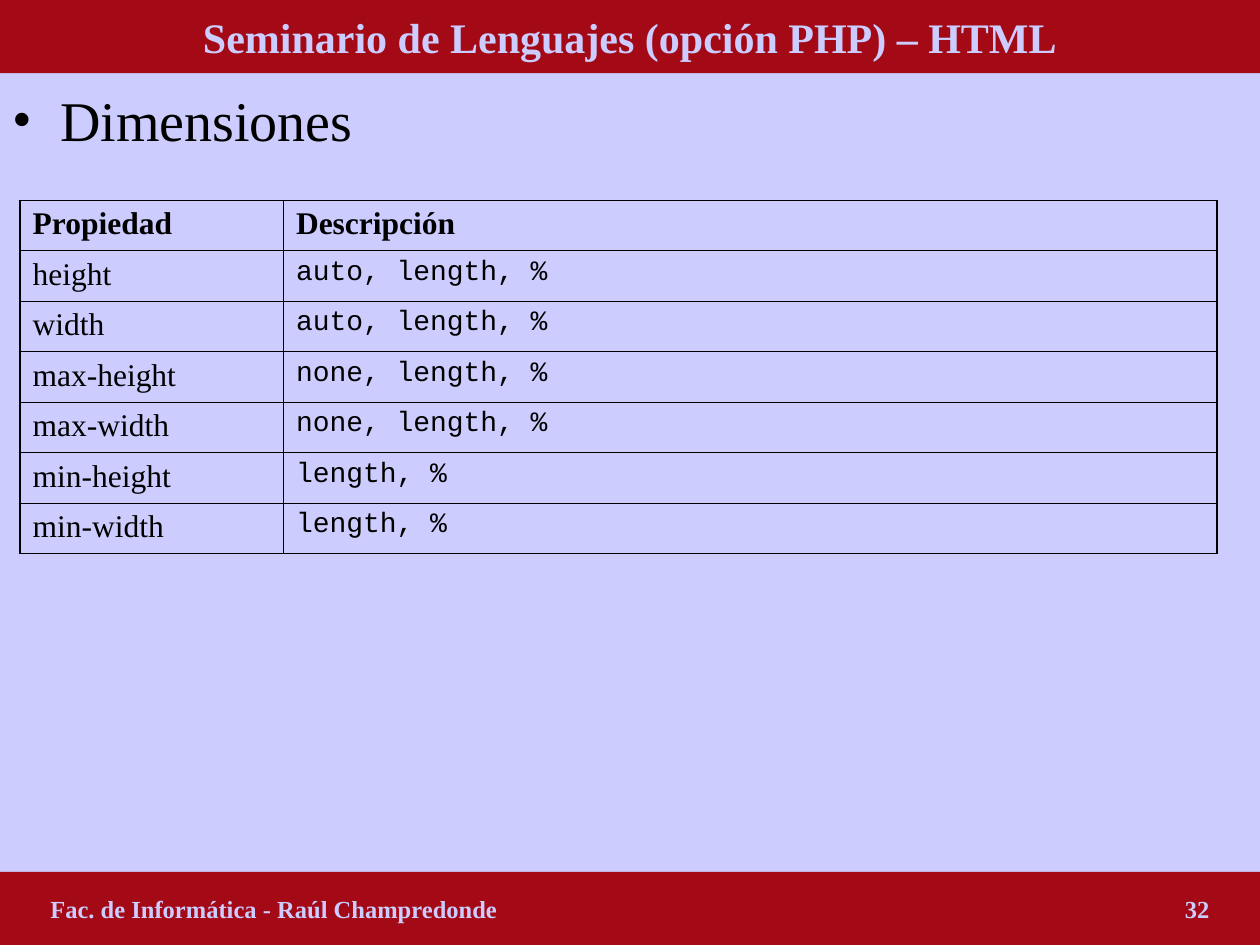
from lxml import etree
from pptx import Presentation
from pptx import util as u
from pptx.dml.color import RGBColor
from pptx.enum import shapes, text
from pptx.oxml.ns import qn

LAVENDER = RGBColor(0xCC, 0xCC, 0xFF)
RED = RGBColor(0xA3, 0x0A, 0x16)
BLACK = RGBColor(0, 0, 0)
SERIF, MONO = "Times New Roman", "Courier New"


def write(tf, content, size=18, font=SERIF, color=BLACK, bold=False,
          align=text.PP_ALIGN.LEFT):
    p = tf.paragraphs[0]
    p.alignment = align
    r = p.add_run()
    r.text = content
    r.font.size = u.Pt(size)
    r.font.name = font
    r.font.bold = bold
    r.font.color.rgb = color


def border(cell, side, width):
    ln = etree.SubElement(cell._tc.get_or_add_tcPr(), qn("a:ln" + side),
                          w=str(u.Pt(width)))
    fill = etree.SubElement(ln, qn("a:solidFill"))
    etree.SubElement(fill, qn("a:srgbClr"), val=str(BLACK))


prs = Presentation()
prs.slide_width, prs.slide_height = u.Inches(10), u.Inches(7.5)
s = prs.slides.add_slide(prs.slide_layouts[6])
s.background.fill.solid()
s.background.fill.fore_color.rgb = LAVENDER

# Bulleted heading
sp = s.shapes.add_textbox(u.Inches(0), u.Inches(0.58), u.Inches(10), u.Inches(6.33))
tf = sp.text_frame
tf.word_wrap = True
tf.margin_top = u.Inches(0.1)
pPr = tf.paragraphs[0]._p.get_or_add_pPr()
pPr.set("marL", str(u.Inches(0.38)))
pPr.set("indent", str(u.Inches(-0.38)))
etree.SubElement(pPr, qn("a:buFont"), typeface=SERIF)
etree.SubElement(pPr, qn("a:buChar"), char="•")
write(tf, "Dimensiones", size=32)

# Header and footer bands
bands = []
for top in (0, 6.92):
    sp = s.shapes.add_shape(shapes.MSO_SHAPE.RECTANGLE, u.Inches(0), u.Inches(top),
                            u.Inches(10), u.Inches(0.58))
    sp.shadow.inherit = False
    sp.fill.solid()
    sp.fill.fore_color.rgb = RED
    sp.line.fill.background()
    sp.text_frame.word_wrap = True
    sp.text_frame.vertical_anchor = text.MSO_ANCHOR.MIDDLE
    bands.append(sp.text_frame)
header, footer = bands
write(header, "Seminario de Lenguajes (opción PHP) – HTML", size=24,
      color=LAVENDER, bold=True, align=text.PP_ALIGN.CENTER)

# Footer: a right tab places the page number
footer.margin_left = u.Inches(0.4)
tabs = etree.SubElement(footer.paragraphs[0]._p.get_or_add_pPr(), qn("a:tabLst"))
etree.SubElement(tabs, qn("a:tab"), pos=str(u.Inches(9.2)), algn="r")
write(footer, "Fac. de Informática - Raúl Champredonde\t32", size=14,
      color=LAVENDER, bold=True)

# Table of properties
rows = [
    ("Propiedad", "Descripción"),
    ("height", "auto, length, %"),
    ("width", "auto, length, %"),
    ("max-height", "none, length, %"),
    ("max-width", "none, length, %"),
    ("min-height", "length, %"),
    ("min-width", "length, %"),
]
table = s.shapes.add_table(len(rows), 2, u.Inches(0.16), u.Inches(1.59),
                           u.Inches(9.5), u.Inches(2.8)).table
table.first_row = table.horz_banding = False
for column, width in zip(table.columns, (2.09, 7.41)):
    column.width = u.Inches(width)
for i, row in enumerate(rows):
    table.rows[i].height = u.Inches(0.4)
    for j, content in enumerate(row):
        cell = table.cell(i, j)
        outer = {"L": j == 0, "R": j == 1, "T": i == 0, "B": i == len(rows) - 1}
        for side, is_outer in outer.items():
            border(cell, side, 1.08 if is_outer else 0.45)
        cell.fill.background()
        is_value = i > 0 and j == 1
        write(cell.text_frame, content, size=16 if is_value else 18,
              font=MONO if is_value else SERIF, bold=i == 0)

prs.save("out.pptx")
